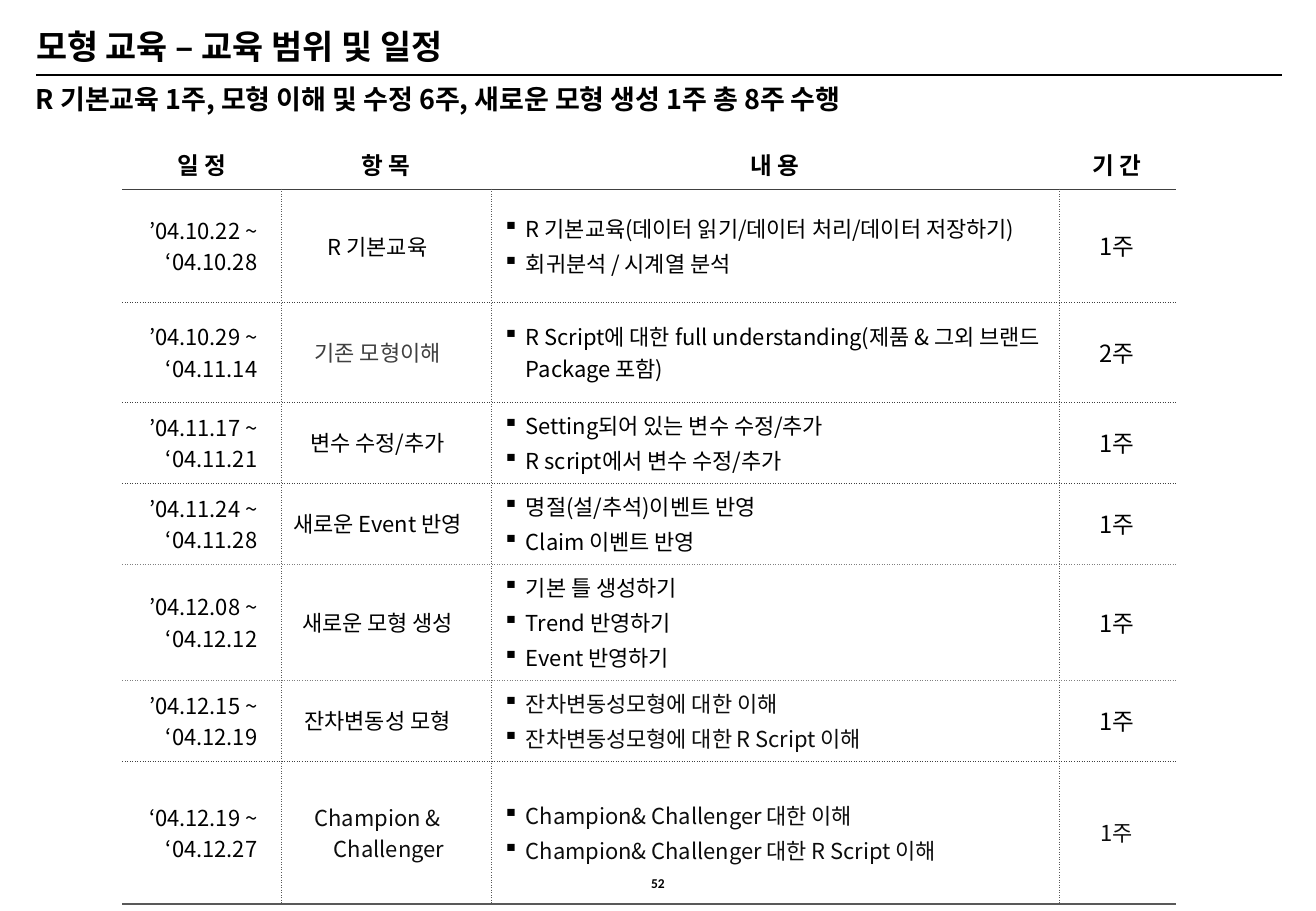
import pptx
import pptx.util
import pptx.dml.color
import pptx.enum.shapes
import pptx.enum.text
import pptx.oxml
import pptx.oxml.ns

# Content
TITLE = "모형 교육 – 교육 범위 및 일정"
SUMMARY = "R 기본교육 1주, 모형 이해 및 수정 6주, 새로운 모형 생성 1주 총 8주 수행"
PAGE = "52"
HEADINGS = ["일정", "항목", "내용", "기간"]
SCHEDULE = [
    ("’04.10.22 ~ ‘04.10.28", "R 기본교육",
     ["R 기본교육(데이터 읽기/데이터 처리/데이터 저장하기)", "회귀분석 / 시계열 분석"], "1주"),
    ("’04.10.29 ~ ‘04.11.14", "기존 모형이해",
     ["R Script에 대한 full understanding(제품 & 그외 브랜드 Package 포함)"], "2주"),
    ("’04.11.17 ~ ‘04.11.21", "변수 수정/추가",
     ["Setting되어 있는 변수 수정/추가", "R script에서 변수 수정/추가"], "1주"),
    ("’04.11.24 ~ ‘04.11.28", "새로운 Event 반영",
     ["명절(설/추석)이벤트 반영", "Claim 이벤트 반영"], "1주"),
    ("’04.12.08 ~ ‘04.12.12", "새로운 모형 생성",
     ["기본 틀 생성하기", "Trend 반영하기", "Event 반영하기"], "1주"),
    ("’04.12.15 ~ ‘04.12.19", "잔차변동성 모형",
     ["잔차변동성모형에 대한 이해", "잔차변동성모형에 대한 R Script 이해"], "1주"),
    ("‘04.12.19 ~ ‘04.12.27", "Champion & Challenger",
     ["Champion& Challenger 대한 이해", "Champion& Challenger 대한 R Script 이해"], "1주"),
]

# Theme: colours, type sizes in points, rules as (colour, points, dash)
THEME = {
    "font": "Noto Sans CJK KR", "page_font": "Calibri",
    "ink": "000000", "soft_ink": "404040", "late_ink": "0D0D0D",
    "title": 20, "summary": 16, "heading": 14, "body": 13, "page": 8,
    "edge": ("FFFFFF", 1, "solid"),
    "column": ("595959", 0.5, "sysDot"),
    "head": ("404040", 0.5, "solid"),
    "row": ("404040", 0.5, "sysDot"),
    "pale_row": ("808080", 0.5, "sysDot"),
    "end": ("595959", 1, "solid"),
}

# Geometry in px
SCALE = 914400 / 121.5
SLIDE = (1316, 911)
TABLE_AT = (123, 140)
COLUMNS = [158, 210, 568, 116]
ROWS = [49, 113, 100, 81, 81, 116, 81, 143]
HANG = 23
PAD, NARROW, WIDE = 12, 7, 24
ROW_RULES = ["edge", "head", "row", "row", "row", "pale_row", "pale_row", "row", "end"]
COLUMN_RULES = ["edge", "column", "column", "column", "edge"]

ALIGN = pptx.enum.text.PP_ALIGN
MIDDLE = pptx.enum.text.MSO_ANCHOR.MIDDLE
TOP = pptx.enum.text.MSO_ANCHOR.TOP
NS = pptx.oxml.ns.nsdecls("a")


def px(length):
    return pptx.util.Emu(round(length * SCALE))


def rgb(colour):
    return pptx.dml.color.RGBColor.from_string(colour)


def xml(text):
    return pptx.oxml.parse_xml(text)


def write(paragraph, text, size, colour=THEME["ink"], bold=False, font=THEME["font"],
          align=ALIGN.LEFT, spacing=0, hang=0, before=0, after=0, bullet=None):
    paragraph.alignment = align
    paragraph.space_before = pptx.util.Pt(before)
    paragraph.space_after = pptx.util.Pt(after)
    run = paragraph.add_run()
    run.text = text
    run.font.size, run.font.bold, run.font.name = pptx.util.Pt(size), bold, font
    run.font.color.rgb = rgb(colour)
    properties = run.font._element
    properties.set("spc", str(spacing * 100))
    properties.find(pptx.oxml.ns.qn("a:latin")).addnext(xml(f'<a:ea {NS} typeface="{font}"/>'))
    layout = paragraph._p.get_or_add_pPr()
    layout.set("marL", str(px(hang)))
    layout.set("indent", str(-px(hang)))
    if bullet:
        layout.append(xml(f'<a:buClr {NS}><a:srgbClr val="{THEME["ink"]}"/></a:buClr>'))
        layout.append(xml(f'<a:buChar {NS} char="{bullet}"/>'))


def text_box(slide, text, left, top, width, height, anchor=TOP, **style):
    frame = slide.shapes.add_textbox(px(left), px(top), px(width), px(height)).text_frame
    frame.word_wrap = True
    frame.vertical_anchor = anchor
    frame.margin_left = frame.margin_right = frame.margin_top = frame.margin_bottom = 0
    write(frame.paragraphs[0], text, **style)


def set_cell(cell, lines, left, right, anchor, **style):
    cell.fill.background()
    cell.vertical_anchor = anchor
    cell.margin_left, cell.margin_right = px(left), px(right)
    cell.margin_top = cell.margin_bottom = px(NARROW)
    for i, line in enumerate(lines):
        paragraphs = cell.text_frame
        write(paragraphs.add_paragraph() if i else paragraphs.paragraphs[0], line, **style)


def set_borders(cell, **rules):
    for place, (side, rule) in enumerate(rules.items()):
        colour, points, dash = THEME[rule]
        cell._tc.get_or_add_tcPr().insert(place, xml(
            f'<a:ln{side} {NS} w="{pptx.util.Pt(points)}"><a:solidFill><a:srgbClr val="{colour}"/>'
            f'</a:solidFill><a:prstDash val="{dash}"/></a:ln{side}>'))


def add_schedule(slide):
    table = slide.shapes.add_table(len(ROWS), len(COLUMNS), px(TABLE_AT[0]), px(TABLE_AT[1]),
                                   px(sum(COLUMNS)), px(sum(ROWS))).table
    table.first_row = table.horz_banding = False
    for column, width in zip(table.columns, COLUMNS):
        column.width = px(width)
    for row, height in zip(table.rows, ROWS):
        row.height = px(height)

    # Headings
    for c, heading in enumerate(HEADINGS):
        set_cell(table.cell(0, c), [heading], PAD, PAD, TOP, size=THEME["heading"],
                 bold=True, align=ALIGN.CENTER, spacing=3)

    # Schedule rows
    for r, (dates, topic, details, weeks) in enumerate(SCHEDULE, 1):
        last = r == len(SCHEDULE)
        late = THEME["late_ink"] if r >= len(SCHEDULE) - 1 else THEME["ink"]
        end_ink = THEME["late_ink"] if last else THEME["ink"]
        topic_ink = THEME["soft_ink"] if r == 2 else end_ink
        body = dict(anchor=MIDDLE, size=THEME["body"], hang=HANG, before=1, after=1)
        set_cell(table.cell(r, 0), [dates], NARROW, WIDE, align=ALIGN.RIGHT, **body)
        set_cell(table.cell(r, 1), [topic], NARROW, WIDE, align=ALIGN.CENTER,
                 colour=topic_ink, **body)
        set_cell(table.cell(r, 2), details, PAD, PAD, bullet="▪", colour=late, **body)
        set_cell(table.cell(r, 3), [weeks], PAD, PAD, MIDDLE, align=ALIGN.CENTER,
                 size=THEME["body" if last else "heading"], colour=end_ink,
                 before=1, after=10 if last else 1)

    # Rules
    for r in range(len(ROWS)):
        for c in range(len(COLUMNS)):
            left, right = COLUMN_RULES[c:c + 2] if r else ("edge", "edge")
            set_borders(table.cell(r, c), L=left, R=right, T=ROW_RULES[r], B=ROW_RULES[r + 1])


def main():
    deck = pptx.Presentation()
    deck.slide_width, deck.slide_height = map(px, SLIDE)
    slide = deck.slides.add_slide(deck.slide_layouts[6])

    # Rule under the title
    divider = slide.shapes.add_connector(pptx.enum.shapes.MSO_CONNECTOR.STRAIGHT,
                                         px(36), px(75), px(1282), px(75))
    divider.line.color.rgb = rgb(THEME["ink"])
    divider.line.width = pptx.util.Pt(0.75)
    divider._element.spPr.append(xml(f"<a:effectLst {NS}/>"))

    # Page number, table, title and summary
    text_box(slide, PAGE, 629, 875, 58, 16, size=THEME["page"], bold=True,
             font=THEME["page_font"], align=ALIGN.CENTER)
    add_schedule(slide)
    text_box(slide, TITLE, 36, 15, 1152, 61, anchor=MIDDLE, size=THEME["title"], bold=True)
    text_box(slide, SUMMARY, 36, 83, 1241, 72, size=THEME["summary"], bold=True)
    deck.save("out.pptx")


if __name__ == "__main__":
    main()
